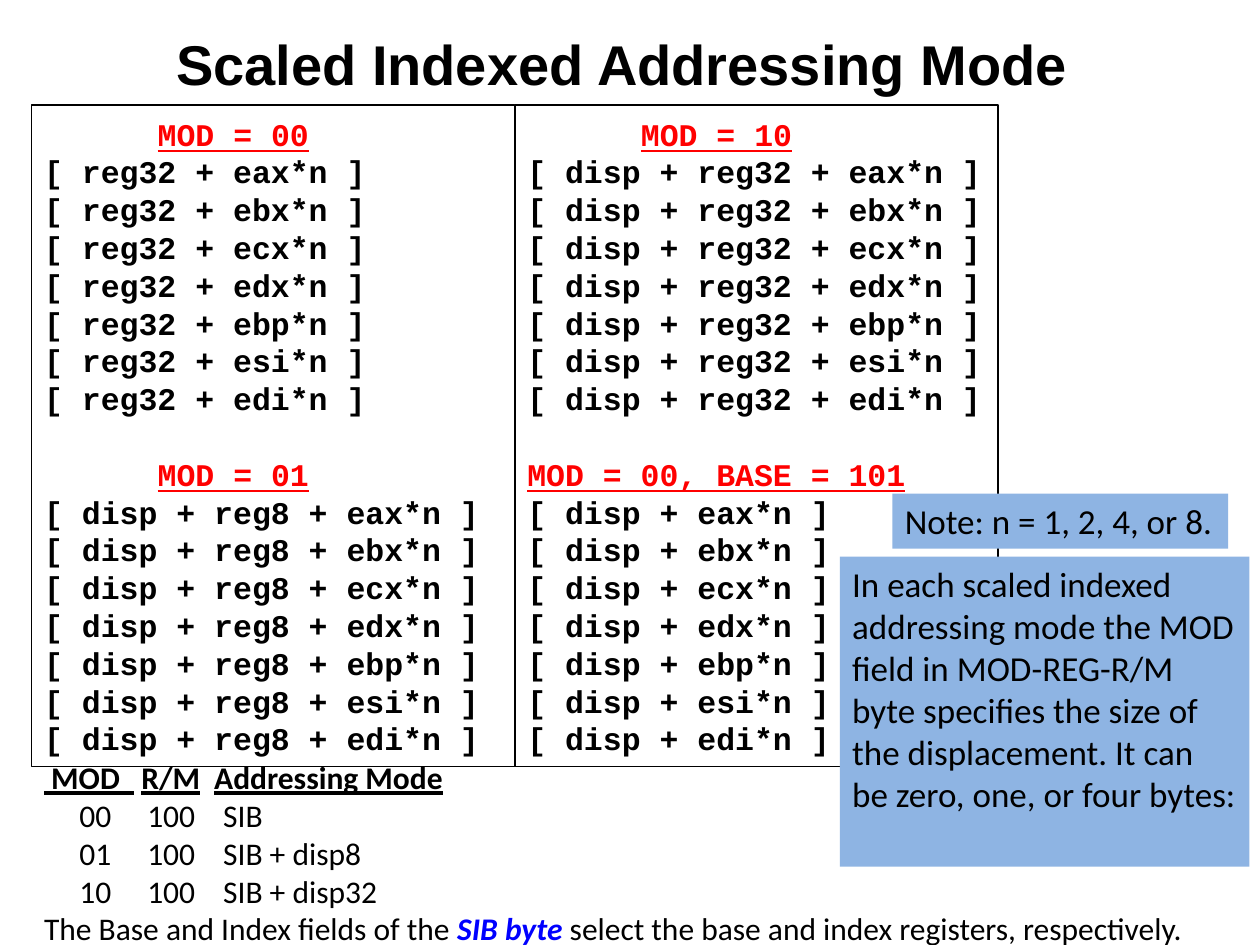
from lxml import etree
from pptx import Presentation
from pptx import util as u
from pptx.dml.color import RGBColor
from pptx.enum import shapes, text
from pptx.oxml.ns import qn

COLORS = {"black": "000000", "red": "FF0000", "blue": "0000FF", "note": "8EB4E3"}
CODE = {"name": "Courier New", "size": u.Pt(18), "bold": True}
HEADING = {**CODE, "underline": True}
BODY = {"name": "Calibri", "size": u.Pt(18)}
NOTE = {"name": "Calibri", "size": u.Pt(20)}
TITLE = {"name": "Arial", "size": u.Pt(32), "bold": True}
LINE_PITCH = u.Pt(21.6)
REGISTERS = ["eax", "ebx", "ecx", "edx", "ebp", "esi", "edi"]

presentation = Presentation()
presentation.slide_width = u.Cm(25.4)
presentation.slide_height = u.Cm(19.05)
slide = presentation.slides.add_slide(presentation.slide_layouts[6])


def add_box(left, top, width, height, fill=None, line=None):
    box = [u.Cm(value) for value in (left, top, width, height)]
    if fill or line:
        shape = slide.shapes.add_shape(shapes.MSO_SHAPE.RECTANGLE, *box)
        shape.shadow.inherit = False
        shape.fill.background()
        shape.line.fill.background()
        if fill:
            shape.fill.solid()
            shape.fill.fore_color.rgb = RGBColor.from_string(COLORS[fill])
        if line:
            shape.line.color.rgb = RGBColor.from_string(COLORS[line])
            shape.line.width = u.Pt(0.75)
    else:
        shape = slide.shapes.add_textbox(*box)
    shape.text_frame.word_wrap = True
    shape.text_frame.vertical_anchor = text.MSO_ANCHOR.TOP
    return shape.text_frame


def add_line(frame, runs, tabs=()):
    paragraph = frame.paragraphs[0]
    if paragraph.runs:
        paragraph = frame.add_paragraph()
    paragraph.alignment = text.PP_ALIGN.LEFT
    if tabs:
        tab_list = etree.SubElement(paragraph._p.get_or_add_pPr(), qn("a:tabLst"))
        for position in tabs:
            etree.SubElement(tab_list, qn("a:tab"), pos=str(u.Cm(position)), algn="l")
    for words, format_values, color in runs:
        run = paragraph.add_run()
        run.text = words
        for name, value in format_values.items():
            setattr(run.font, name, value)
        run.font.color.rgb = RGBColor.from_string(COLORS[color])
    return paragraph


title = add_box(1.27, 0.43, 22.86, 1.7)
title.vertical_anchor = text.MSO_ANCHOR.MIDDLE
title_line = add_line(title, [("Scaled Indexed Addressing Mode ", TITLE, "black")])
title_line.alignment = text.PP_ALIGN.CENTER

columns = [
    [("MOD = 00", 2.29, "reg32 + "), ("MOD = 01", 2.29, "disp + reg8 + ")],
    [("MOD = 10", 2.29, "disp + reg32 + "), ("MOD = 00, BASE = 101", 0, "disp + ")],
]
column_width = 9.74
for column, groups in enumerate(columns):
    frame = add_box(0.64 + column * column_width, 2.12, column_width, 13.34, line="black")
    frame.margin_top = u.Cm(0.19)
    for group, (heading, indent, prefix) in enumerate(groups):
        paragraph = add_line(frame, [(heading, HEADING, "red")])
        paragraph._p.get_or_add_pPr().set("marL", str(u.Cm(indent)))
        paragraph.line_spacing = LINE_PITCH
        if group:
            paragraph.space_before = LINE_PITCH
        for register in REGISTERS:
            words = f"[ {prefix}{register}*n ]"
            add_line(frame, [(words, CODE, "black")]).line_spacing = LINE_PITCH

summary = add_box(0.64, 15.16, 24.66, 4.11)
label = {**BODY, "bold": True, "underline": True}
add_line(summary, [
    (" MOD  ", label, "black"),
    ("\t", BODY, "black"),
    ("R/M", label, "black"),
    ("\t", BODY, "black"),
    ("Addressing Mode", label, "black"),
], tabs=(1.96, 3.43))
for mod, mode in [("00", "SIB"), ("01", "SIB + disp8"), ("10", "SIB + disp32")]:
    add_line(summary, [(f"\t{mod}\t100\t{mode}", BODY, "black")], tabs=(0.71, 2.08, 3.61))
add_line(summary, [
    ("The Base and Index fields of the ", BODY, "black"),
    ("SIB byte ", {**BODY, "bold": True, "italic": True}, "blue"),
    ("select the base and index registers, respectively.", BODY, "black"),
])

scale_note = add_box(17.99, 9.95, 6.77, 1.11, fill="note")
scale_note.word_wrap = False
add_line(scale_note, [("Note: n = 1, 2, 4, or 8.", NOTE, "black")])

size_note = add_box(16.93, 11.22, 8.26, 6.25, fill="note")
add_line(size_note, [(
    "In each scaled indexed addressing mode the MOD field in MOD-REG-R/M byte "
    "specifies the size of the displacement. It can be zero, one, or four bytes:",
    NOTE, "black",
)])

presentation.save("out.pptx")
